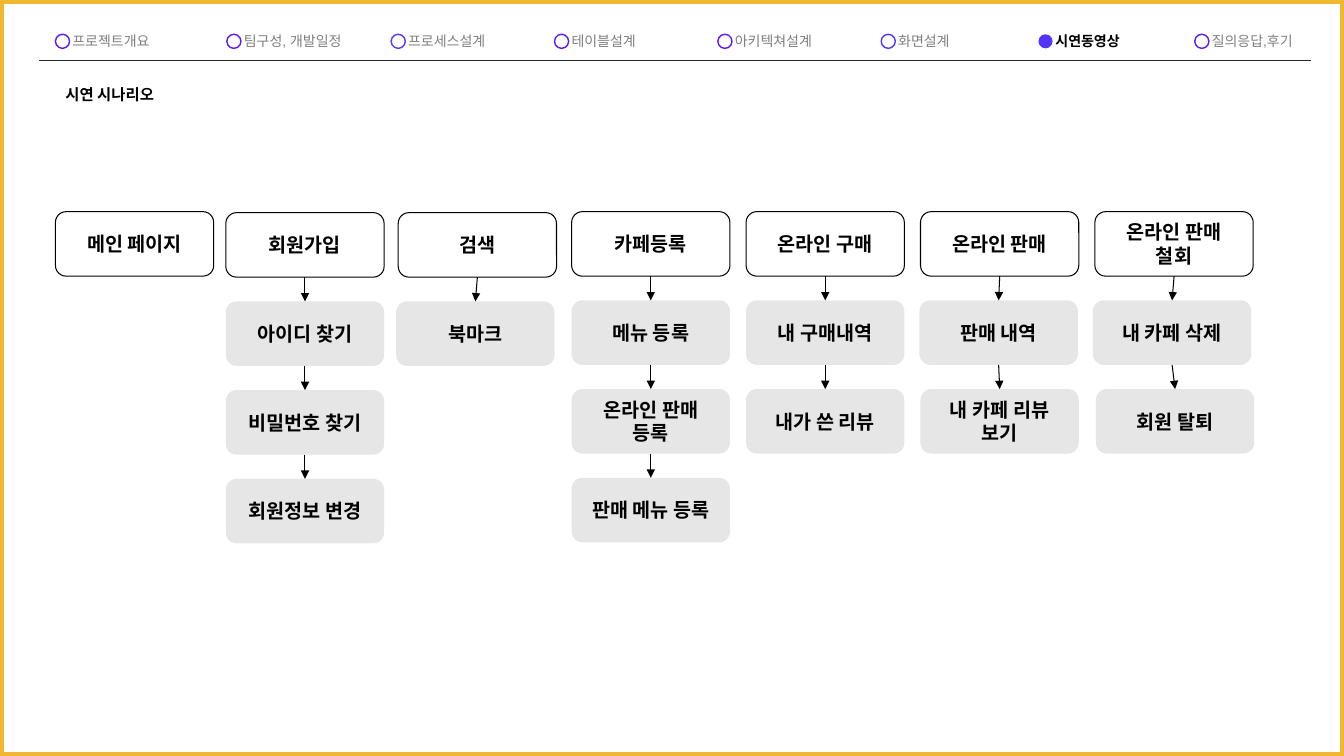
import pptx
import pptx.util
import pptx.dml.color
import pptx.enum.shapes
import pptx.enum.text
import pptx.oxml.ns
from lxml import etree

Inches, Pt = pptx.util.Inches, pptx.util.Pt
SHAPE = pptx.enum.shapes.MSO_SHAPE
STRAIGHT = pptx.enum.shapes.MSO_CONNECTOR.STRAIGHT
qn = pptx.oxml.ns.qn


def paint(fmt, color):
    """Solid colour for a fill, or no fill when color is None."""
    if color is None:
        fmt.background()
    else:
        fmt.solid()
        fmt.fore_color.rgb = pptx.dml.color.RGBColor.from_string(color)


def write(sp, text, size, color, bold, **frame):
    tf = sp.text_frame
    for name, value in {"word_wrap": True, **frame}.items():
        setattr(tf, name, value)
    r = tf.paragraphs[0].add_run()
    r.text = text
    for name, value in {"name": "Arial", "size": Pt(size), "bold": bold}.items():
        setattr(r.font, name, value)
    paint(r.font.fill, color)
    return tf.paragraphs[0]


prs = pptx.Presentation()
prs.slide_width, prs.slide_height = Inches(13.33), Inches(7.5)
s = prs.slides.add_slide(prs.slide_layouts[6])

# Rule under the navigation
rule = s.shapes.add_connector(STRAIGHT, Inches(0.39), Inches(0.6), Inches(13), Inches(0.6))
paint(rule.line.fill, "25282A")
rule.line.width = Pt(1)
etree.SubElement(rule._element.spPr, qn("a:effectLst"))

# Navigation: left edge of the dot, label width, label, outline
current = "시연동영상"
steps = [
    (0.55, 1.13, "프로젝트개요", "5C19FA"),
    (2.25, 1.31, "팀구성, 개발일정", "5C19FA"),
    (3.88, 1.17, "프로세스설계", "5C34FA"),
    (5.5, 0.99, "테이블설계", "5C19FA"),
    (7.12, 1.2, "아키텍쳐설계", "5C19FA"),
    (8.74, 0.99, "화면설계", "5234FA"),
    (10.3, 0.99, current, None),
    (11.85, 1.15, "질의응답,후기", "5C19FA"),
]
for x, width, label, outline in steps:
    active = label == current
    dot = s.shapes.add_shape(SHAPE.OVAL, Inches(x), Inches(0.34), Inches(0.14), Inches(0.14))
    dot.shadow.inherit = False
    paint(dot.fill, "5234FA" if active else None)
    dot.line.width = Pt(1)
    paint(dot.line.fill, outline)
    sp = s.shapes.add_textbox(Inches(x + 0.07), Inches(0.27), Inches(width), Inches(0.27))
    write(sp, label, 10, "000000" if active else "7F7F7F", active)

# Slide frame
frame = s.shapes.add_shape(SHAPE.RECTANGLE, 0, 0, prs.slide_width, prs.slide_height)
frame.shadow.inherit = False
paint(frame.fill, None)
frame.line.width = Pt(6)
paint(frame.line.fill, "F1B731")

# Heading
title = s.shapes.add_textbox(Inches(0.55), Inches(0.79), Inches(1.16), Inches(0.29))
write(title, "시연 시나리오", 11, "000000", True)

# Scenario columns: top, then left edge and label of each box
columns = [
    (2.1, [(0.55, "메인 페이지")]),
    (2.11, [(2.24, "회원가입"), (2.24, "아이디 찾기"), (2.24, "비밀번호 찾기"),
            (2.24, "회원정보 변경")]),
    (2.11, [(3.95, "검색"), (3.93, "북마크")]),
    (2.1, [(5.67, "카페등록"), (5.67, "메뉴 등록"), (5.67, "온라인 판매 등록"),
           (5.67, "판매 메뉴 등록")]),
    (2.1, [(7.4, "온라인 구매"), (7.4, "내 구매내역"), (7.4, "내가 쓴 리뷰")]),
    (2.1, [(9.13, "온라인 판매"), (9.12, "판매 내역"), (9.13, "내 카페 리뷰 보기")]),
    (2.1, [(10.86, "온라인 판매 철회"), (10.84, "내 카페 삭제"), (10.87, "회원 탈퇴")]),
]
row_step = 0.88
for top, boxes in columns:
    above = None
    for row, (x, label) in enumerate(boxes):
        box = s.shapes.add_shape(SHAPE.ROUNDED_RECTANGLE, Inches(x), Inches(top + row * row_step),
                                 Inches(1.57), Inches(0.64))
        box.shadow.inherit = False
        paint(box.fill, "E7E6E6" if row else None)
        box.line.width = Pt(0.75)
        paint(box.line.fill, None if row else "000000")
        p = write(box, label, 14, "000000", True,
                  vertical_anchor=pptx.enum.text.MSO_ANCHOR.MIDDLE)
        p.alignment = pptx.enum.text.PP_ALIGN.CENTER

        # Arrow from the bottom of the box above to the top of this one
        if above is not None:
            arrow = s.shapes.add_connector(STRAIGHT, 0, 0, 0, 0)
            arrow.begin_connect(above, 2)
            arrow.end_connect(box, 0)
            paint(arrow.line.fill, "000000")
            arrow.line.width = Pt(0.75)
            etree.SubElement(arrow.line._get_or_add_ln(), qn("a:tailEnd"), type="triangle")
            etree.SubElement(arrow._element.spPr, qn("a:effectLst"))
        above = box

prs.save("out.pptx")
